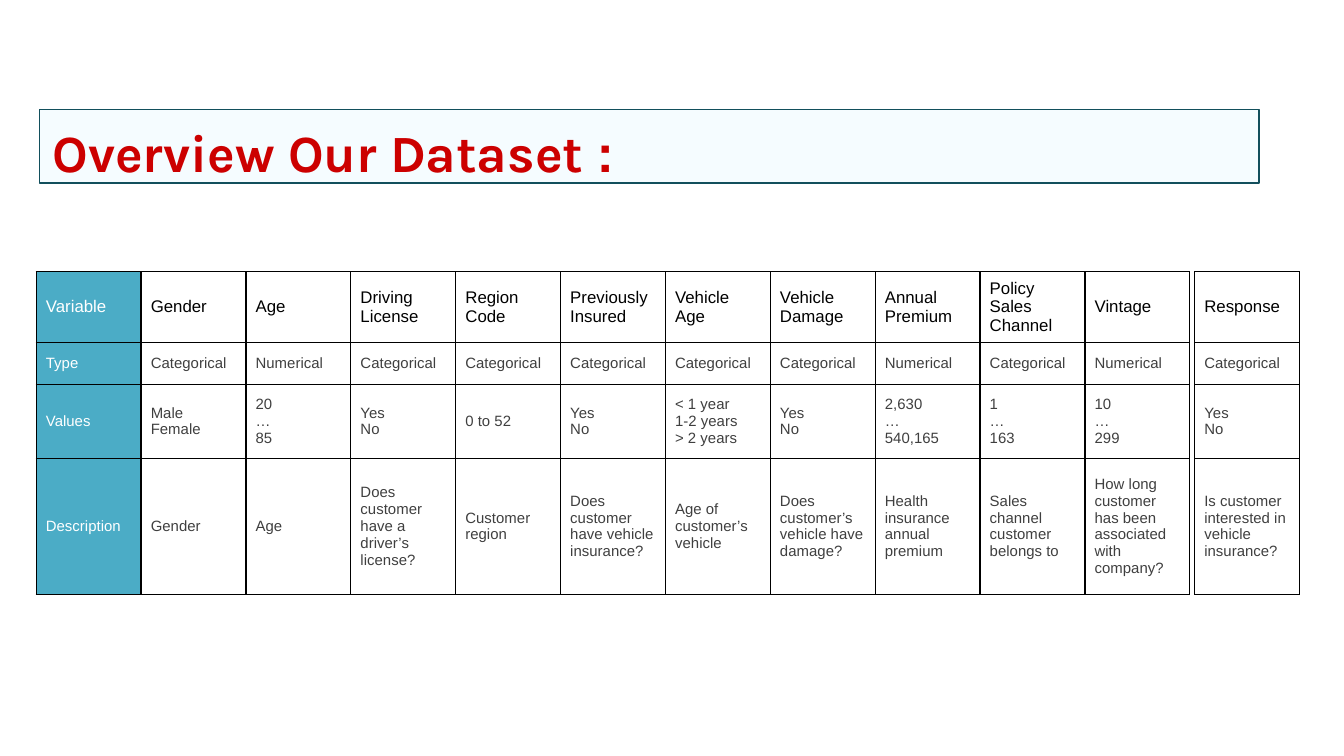
from dataclasses import dataclass

from lxml import etree
from pptx import Presentation
from pptx.dml.color import RGBColor
from pptx.enum import text
from pptx.oxml import ns
from pptx.util import Pt


@dataclass(frozen=True)
class Theme:
    body_font: str = "Arial"
    title_font: str = "Karla"
    title_size: float = 28
    header_size: float = 9
    body_size: float = 8
    rule: float = 0.75
    title: str = "CC0000"
    title_fill: str = "F5FCFF"
    title_line: str = "124F5C"
    label_fill: str = "4BACC6"
    label: str = "FFFFFF"
    header: str = "000000"
    body: str = "3F3F3F"
    border: str = "000000"


@dataclass(frozen=True)
class Box:
    left: float
    top: float
    width: float
    height: float


THEME = Theme()
ROW_HEIGHTS = (38, 22.5, 39.5, 73)
TITLE_BOX = Box(21, 58.5, 653.5, 39.5)
VARIABLES_BOX = Box(19.4, 145.5, 618.2, sum(ROW_HEIGHTS))
RESPONSE_BOX = Box(640, 145.5, 56.2, sum(ROW_HEIGHTS))

LABELS = ("Variable", "Type", "Values", "Description")
VARIABLES = (
    ("Gender", "Categorical", "Male\nFemale", "Gender"),
    ("Age", "Numerical", "20\n…\n85", "Age"),
    ("Driving License", "Categorical", "Yes\nNo", "Does customer have a driver’s license?"),
    ("Region Code", "Categorical", "0 to 52", "Customer region"),
    ("Previously Insured", "Categorical", "Yes\nNo", "Does customer have vehicle insurance?"),
    ("Vehicle Age", "Categorical", "< 1 year\n1-2 years\n> 2 years", "Age of customer’s vehicle"),
    ("Vehicle Damage", "Categorical", "Yes\nNo", "Does customer’s vehicle have damage?"),
    ("Annual Premium", "Numerical", "2,630\n…\n540,165", "Health insurance annual premium"),
    ("Policy Sales Channel", "Categorical", "1\n…\n163", "Sales channel customer belongs to"),
    ("Vintage", "Numerical", "10\n…\n299", "How long customer has been associated with company?"),
)
RESPONSE = ("Response", "Categorical", "Yes\nNo", "Is customer interested in vehicle insurance?")


def color(value):
    return RGBColor.from_string(value)


def write(para, words, *, font, size, ink, bold=False):
    para.alignment = text.PP_ALIGN.LEFT
    span = para.add_run()
    span.text = words
    span.font.name = font
    span.font.size = Pt(size)
    span.font.bold = bold
    span.font.color.rgb = color(ink)


def set_borders(cell):
    properties = cell._tc.get_or_add_tcPr()
    for side in ("lnL", "lnR", "lnT", "lnB"):
        line = etree.SubElement(properties, ns.qn(f"a:{side}"), w=str(Pt(THEME.rule)))
        fill = etree.SubElement(line, ns.qn("a:solidFill"))
        etree.SubElement(fill, ns.qn("a:srgbClr"), val=THEME.border)


def fill_cell(cell, words, *, size, ink, fill=None):
    cell.vertical_anchor = text.MSO_ANCHOR.MIDDLE
    cell.margin_left = cell.margin_right = Pt(5.2)
    cell.margin_top = cell.margin_bottom = Pt(2.6)
    set_borders(cell)
    if fill:
        cell.fill.solid()
        cell.fill.fore_color.rgb = color(fill)
    else:
        cell.fill.background()
    frame = cell.text_frame
    for index, line in enumerate(words.split("\n")):
        para = frame.add_paragraph() if index else frame.paragraphs[0]
        write(para, line, font=THEME.body_font, size=size, ink=ink)


def add_title(page, box):
    title = page.shapes.title
    title.left, title.top = Pt(box.left), Pt(box.top)
    title.width, title.height = Pt(box.width), Pt(box.height)
    title.fill.solid()
    title.fill.fore_color.rgb = color(THEME.title_fill)
    title.line.color.rgb = color(THEME.title_line)
    title.line.width = Pt(THEME.rule)
    frame = title.text_frame
    frame.word_wrap = True
    frame.auto_size = text.MSO_AUTO_SIZE.NONE
    frame.vertical_anchor = text.MSO_ANCHOR.TOP
    frame.margin_left, frame.margin_top = Pt(7.2), Pt(6)
    frame.margin_right = frame.margin_bottom = 0
    para = frame.paragraphs[0]
    for words, font in (("Overview Our Dataset ", THEME.title_font), (":", THEME.body_font)):
        write(para, words, font=font, size=THEME.title_size, ink=THEME.title, bold=True)


def add_variable_table(page, box, columns, labelled=False):
    table = page.shapes.add_table(
        len(ROW_HEIGHTS), len(columns),
        Pt(box.left), Pt(box.top), Pt(box.width), Pt(box.height),
    ).table
    table.first_row = table.horz_banding = False
    for row, height in zip(table.rows, ROW_HEIGHTS):
        row.height = Pt(height)
    for column_index, column in enumerate(columns):
        table.columns[column_index].width = Pt(box.width / len(columns))
        is_label = labelled and column_index == 0
        for row_index, words in enumerate(column):
            is_header = row_index == 0
            ink = THEME.header if is_header else THEME.body
            fill_cell(
                table.cell(row_index, column_index), words,
                size=THEME.header_size if is_header else THEME.body_size,
                ink=THEME.label if is_label else ink,
                fill=THEME.label_fill if is_label else None,
            )


def main():
    deck = Presentation()
    deck.slide_width, deck.slide_height = Pt(720), Pt(405)
    page = deck.slides.add_slide(deck.slide_layouts[5])
    add_title(page, TITLE_BOX)
    add_variable_table(page, VARIABLES_BOX, (LABELS, *VARIABLES), labelled=True)
    add_variable_table(page, RESPONSE_BOX, (RESPONSE,))
    deck.save("out.pptx")


if __name__ == "__main__":
    main()
